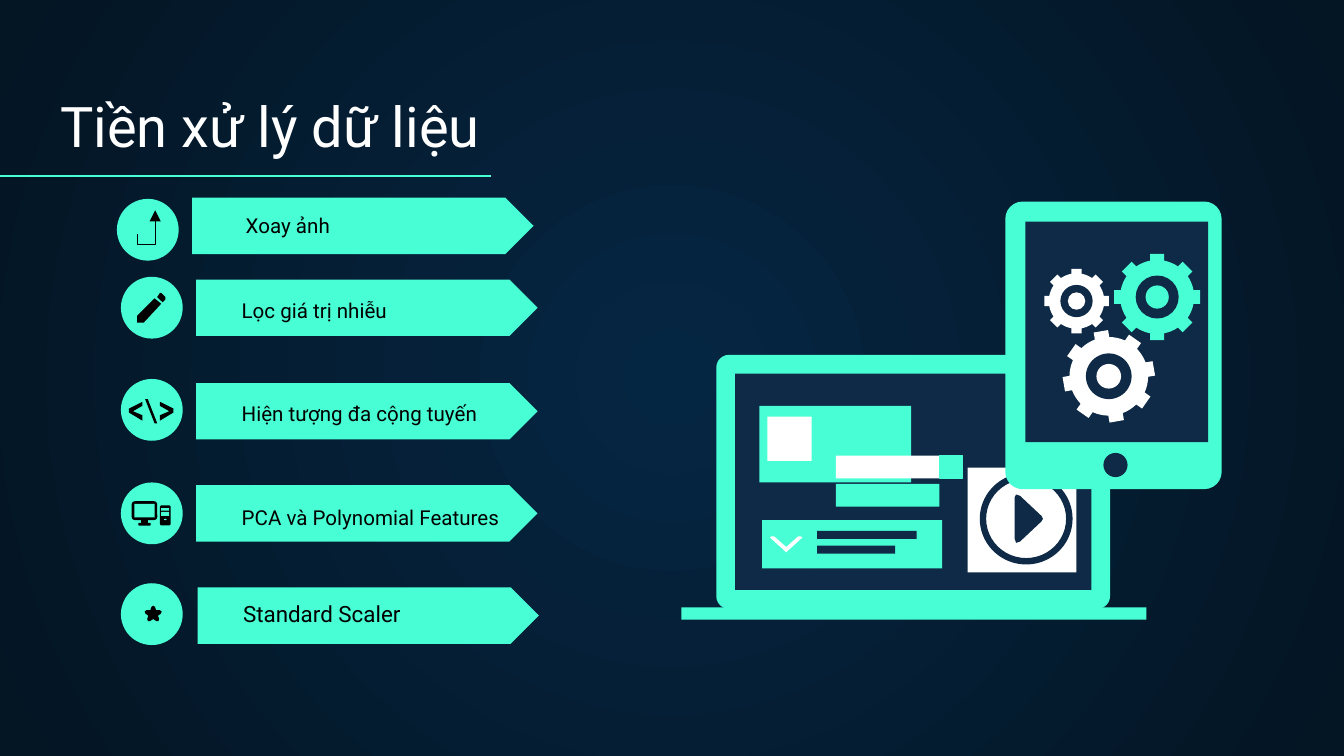
import math

from lxml import etree
from pptx import Presentation
from pptx import util as u
from pptx.dml.color import RGBColor
from pptx.enum import shapes, text
from pptx.oxml import ns

COLORS = {"teal": "48FFD5", "navy": "0E2A47", "white": "FFFFFF", "black": "000000",
          "center": "052643", "edge": "041523"}
KIND = shapes.MSO_SHAPE
FONT = "Roboto"


def rgb(name):
    return RGBColor.from_string(COLORS[name])


def add_node(parent, tag, **attributes):
    node = etree.SubElement(parent, ns.qn(tag))
    for name, value in attributes.items():
        node.set(name, str(value))
    return node


def set_background(slide):
    """Radial gradient from the middle of the slide."""
    fill = slide.background.fill
    fill.gradient()
    for stop, name in zip(fill.gradient_stops, ("center", "edge")):
        stop.color.rgb = rgb(name)
    gradient = slide.background._cSld.bg.bgPr.find(ns.qn("a:gradFill"))
    for linear in gradient.findall(ns.qn("a:lin")):
        gradient.remove(linear)
    route = add_node(gradient, "a:path")
    route.set("path", "circle")
    add_node(route, "a:fillToRect", l=50000, t=50000, r=50000, b=50000)


def paint(shape, color, line_width=None):
    shape.shadow.inherit = False
    shape.fill.solid()
    shape.fill.fore_color.rgb = rgb(color)
    if line_width is None:
        shape.line.fill.background()
    else:
        shape.line.color.rgb = rgb(color)
        shape.line.width = u.Pt(line_width)


def add_block(slide, kind, box, color, adjustment=None, line_width=None):
    shape = slide.shapes.add_shape(kind, *map(u.Inches, box))
    if adjustment is not None:
        shape.adjustments[0] = adjustment
    paint(shape, color, line_width)


def add_polygon(slide, contours, color):
    first, *others = [[(u.Inches(x), u.Inches(y)) for x, y in points] for points in contours]
    builder = slide.shapes.build_freeform(*first[0])
    builder.add_line_segments(first[1:], close=True)
    for points in others:
        builder.move_to(*points[0])
        builder.add_line_segments(points[1:], close=True)
    paint(builder.convert_to_shape(), color)


def add_label(slide, words, box, size, color="black", anchor=text.MSO_ANCHOR.BOTTOM, inset=0.1):
    frame = slide.shapes.add_textbox(*map(u.Inches, box)).text_frame
    frame.word_wrap = True
    frame.vertical_anchor = anchor
    frame.margin_top = frame.margin_bottom = u.Inches(inset)
    run = frame.paragraphs[0].add_run()
    run.text = words
    run.font.name = FONT
    run.font.size = u.Pt(size)
    run.font.color.rgb = rgb(color)


def add_line(slide, kind, start, end, color):
    connector = slide.shapes.add_connector(kind, *map(u.Inches, (*start, *end)))
    connector.line.color.rgb = rgb(color)
    connector.line.width = u.Pt(0.75)
    add_node(connector._element.spPr, "a:effectLst")
    return connector


def add_turn_arrow(slide):
    """Bent arrow that dips below its start and then points up."""
    connector = add_line(slide, shapes.MSO_CONNECTOR.ELBOW, (1.18, 1.72), (1, 1.59), "black")
    connector.rotation = 90
    properties = connector._element.spPr
    geometry = properties.find(ns.qn("a:prstGeom"))
    for old in list(geometry):
        geometry.remove(old)
    add_node(add_node(geometry, "a:avLst"), "a:gd", name="adj1", fmla="val -42000")
    add_node(properties.find(ns.qn("a:ln")), "a:tailEnd", type="triangle")


def add_disc(slide, x, y, radius, color):
    add_block(slide, KIND.OVAL, (x - radius, y - radius, 2 * radius, 2 * radius), color)


def add_gear(slide, x, y, radius, color, turn=0):
    """Gear with eight teeth, a hole and a hub."""
    body, half_tooth, teeth = 0.86, 0.16, 8
    pitch = 2 * math.pi / teeth
    base = math.asin(half_tooth / body)
    tip = math.atan(half_tooth)
    corners = [(-base, body), (-tip, math.hypot(1, half_tooth)),
               (tip, math.hypot(1, half_tooth)), (base, body)]
    corners += [(base + (pitch - 2 * base) * step / 4, body) for step in (1, 2, 3)]
    points = []
    for tooth in range(teeth):
        for offset, reach in corners:
            angle = math.radians(turn) + tooth * pitch + offset
            points.append((x + radius * reach * math.cos(angle),
                           y + radius * reach * math.sin(angle)))
    add_polygon(slide, [points], color)
    add_disc(slide, x, y, 0.5 * radius, "navy")
    add_disc(slide, x, y, 0.27 * radius, color)


def add_list(slide):
    rows = [("Xoay ảnh", (0.87, 1.48), (1.43, 1.47), (1.73, 1.65)),
            ("Lọc giá trị nhiễu", (0.9, 2.06), (1.46, 2.08), (1.7, 2.28)),
            ("Hiện tượng đa cộng tuyến", (0.9, 2.82), (1.46, 2.85), (1.7, 3.05)),
            ("PCA và Polynomial Features", (0.9, 3.59), (1.46, 3.61), (1.7, 3.82)),
            ("Standard Scaler", (0.9, 4.34), (1.47, 4.37), None)]
    for words, badge, banner, place in rows:
        add_block(slide, KIND.PENTAGON, (*banner, 2.54, 0.42), "teal", 0.5)
        add_block(slide, KIND.OVAL, (*badge, 0.46, 0.46), "teal")
        if place:
            add_label(slide, words, (*place, 2.27, 0.21), 11)
        else:
            add_label(slide, words, (1.71, 4.42, 1.68, 0.3), 12,
                      anchor=text.MSO_ANCHOR.TOP, inset=0.05)


def add_badge_icons(slide):
    add_turn_arrow(slide)
    pencil = [[(1.19, 2.18), (1.17, 2.21), (1.21, 2.25), (1.23, 2.23), (1.23, 2.21), (1.2, 2.18)],
              [(1.15, 2.22), (1.02, 2.35), (1.02, 2.4), (1.07, 2.4), (1.2, 2.26)]]
    add_polygon(slide, pencil, "black")

    bracket = [(1.06, 3.13), (0.96, 3.07), (0.96, 3.04), (1.06, 2.99),
               (1.06, 3.02), (0.99, 3.06), (1.06, 3.09)]
    add_polygon(slide, [bracket], "black")
    add_polygon(slide, [[(1.15, 3.15), (1.08, 2.97), (1.1, 2.97), (1.17, 3.15)]], "black")
    add_polygon(slide, [[(2.25 - x, y) for x, y in bracket]], "black")

    computer = [(KIND.ROUNDED_RECTANGLE, (0.98, 3.73, 0.19, 0.14), "black"),
                (KIND.RECTANGLE, (1, 3.75, 0.15, 0.1), "teal"),
                (KIND.RECTANGLE, (1.05, 3.87, 0.05, 0.03), "black"),
                (KIND.ROUNDED_RECTANGLE, (1.03, 3.89, 0.09, 0.02), "black"),
                (KIND.ROUNDED_RECTANGLE, (1.19, 3.76, 0.08, 0.15), "black"),
                (KIND.RECTANGLE, (1.2, 3.78, 0.06, 0.02), "teal"),
                (KIND.RECTANGLE, (1.2, 3.81, 0.06, 0.03), "teal"),
                (KIND.OVAL, (1.22, 3.86, 0.02, 0.01), "teal")]
    for kind, box, color in computer:
        add_block(slide, kind, box, color)
    add_block(slide, KIND.STAR_5_POINT, (1.09, 4.52, 0.1, 0.09), "black", line_width=2)


def add_laptop(slide):
    add_block(slide, KIND.ROUNDED_RECTANGLE, (5.33, 2.64, 2.93, 1.89), "teal", 0.05)
    panels = [((5.47, 2.78, 2.65, 1.61), "navy"), ((5.07, 4.52, 3.46, 0.09), "teal"),
              ((5.65, 3.02, 1.13, 0.57), "teal"), ((5.71, 3.1, 0.33, 0.33), "white"),
              ((6.02, 3.87, 0.99, 0.36), "teal"), ((6.08, 3.95, 0.74, 0.06), "navy"),
              ((6.08, 4.06, 0.58, 0.06), "navy"), ((5.67, 3.87, 0.35, 0.36), "teal"),
              ((6.22, 3.6, 0.77, 0.17), "teal"), ((6.22, 3.39, 0.77, 0.17), "white"),
              ((7.2, 3.48, 0.81, 0.78), "white")]
    for box, color in panels:
        add_block(slide, KIND.RECTANGLE, box, color)
    add_block(slide, KIND.RECTANGLE, (6.99, 3.39, 0.17, 0.17), "teal", line_width=0.75)
    check = [(5.74, 3.99), (5.76, 3.99), (5.85, 4.07), (5.94, 3.99), (5.96, 3.99),
             (5.97, 4), (5.86, 4.1), (5.85, 4.11), (5.84, 4.1), (5.73, 4)]
    add_polygon(slide, [check], "white")
    add_block(slide, KIND.DONUT, (7.29, 3.52, 0.69, 0.68), "navy", 0.07)
    play = [(7.55, 3.7), (7.56, 3.68), (7.59, 3.69), (7.75, 3.84), (7.76, 3.86),
            (7.75, 3.88), (7.59, 4.03), (7.56, 4.04), (7.55, 4.01)]
    add_polygon(slide, [play], "navy")


def add_tablet(slide):
    add_block(slide, KIND.ROUNDED_RECTANGLE, (7.48, 1.5, 1.61, 2.14), "teal", 0.08)
    add_block(slide, KIND.RECTANGLE, (7.63, 1.65, 1.36, 1.64), "navy")
    add_disc(slide, 8.3, 3.46, 0.09, "navy")
    add_gear(slide, 8.61, 2.21, 0.32, "teal")
    add_gear(slide, 8.01, 2.24, 0.24, "white")
    add_gear(slide, 8.25, 2.8, 0.34, "white", turn=-10)


def main():
    presentation = Presentation()
    presentation.slide_width = u.Inches(10)
    presentation.slide_height = u.Inches(10 * 9 / 16)
    slide = presentation.slides.add_slide(presentation.slide_layouts[6])
    set_background(slide)
    add_label(slide, "Tiền xử lý dữ liệu", (0.35, 0.78, 8.57, 0.5), 30, "white")
    add_line(slide, shapes.MSO_CONNECTOR.STRAIGHT, (0, 1.31), (3.65, 1.31), "teal")
    add_list(slide)
    add_badge_icons(slide)
    add_laptop(slide)
    add_tablet(slide)
    presentation.save("out.pptx")


if __name__ == "__main__":
    main()
